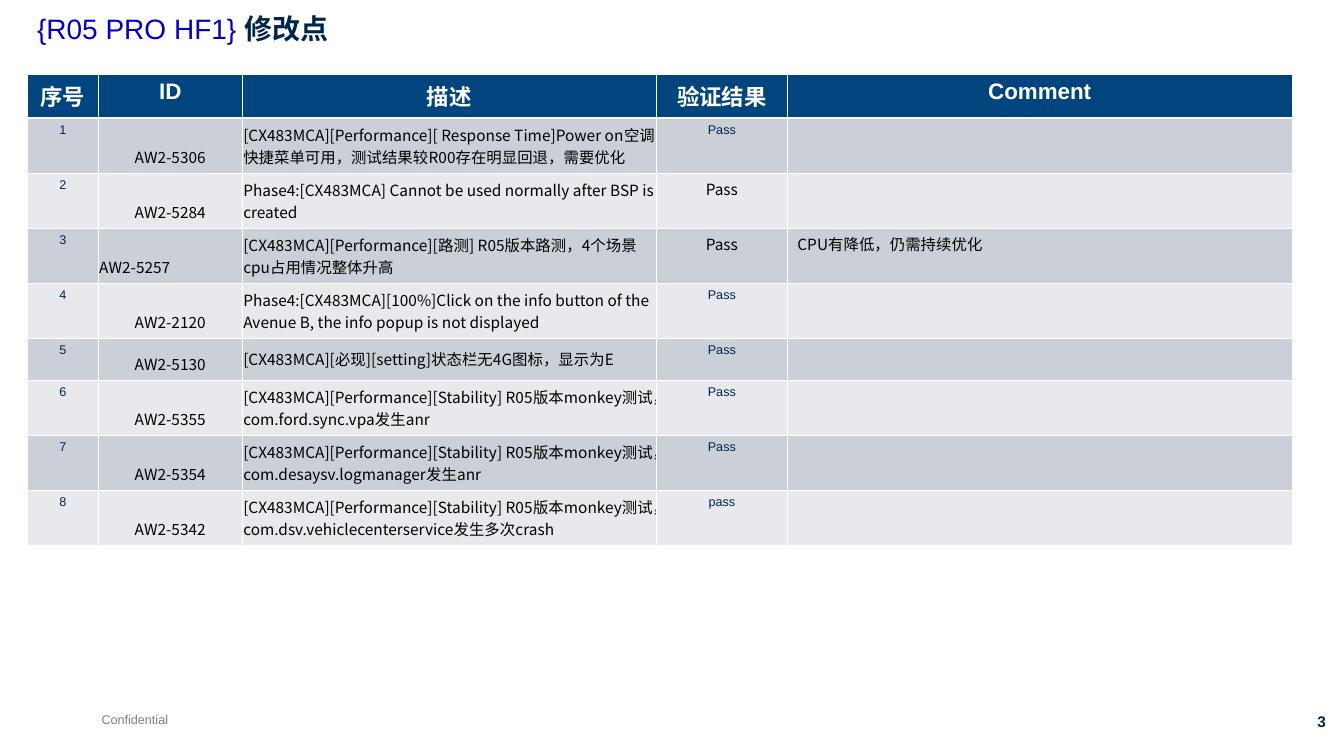
from lxml.etree import SubElement
from pptx import Presentation
from pptx.dml.color import RGBColor
from pptx.enum.text import MSO_ANCHOR, PP_ALIGN
from pptx.oxml.ns import qn
from pptx.util import Inches, Pt

SLIDE_WIDTH, SLIDE_HEIGHT = Inches(13.34), Inches(7.5)
LATIN, CHINESE = "Arial", "Noto Sans CJK SC"
NAVY, BLUE, GREY, BLACK, WHITE = "00264E", "0000CC", "7F7F7F", "000000", "FFFFFF"
HEADER_FILL, BAND_FILLS = "00457E", ("E7E9EC", "CBCFD8")

COLUMN_SHARES = [5.25, 10.72, 30.81, 9.75, 37.56]
HEADER_ROW, ONE_LINE_ROW, TWO_LINE_ROW = 5.75, 5.56, 7.28
ROW_SHARES = [HEADER_ROW, *[TWO_LINE_ROW] * 4, ONE_LINE_ROW, *[TWO_LINE_ROW] * 3]
HEADINGS = ["序号", "ID", "描述", "验证结果", "Comment"]
ISSUES = [
    ("AW2-5306", "[CX483MCA][Performance][ Response Time]Power on空调快捷菜单可用，测试结果较R00存在明显回退，需要优化", "Pass", ""),
    ("AW2-5284", "Phase4:[CX483MCA] Cannot be used normally after BSP is created", "Pass", ""),
    ("AW2-5257", "[CX483MCA][Performance][路测] R05版本路测，4个场景cpu占用情况整体升高", "Pass", "CPU有降低，仍需持续优化"),
    ("AW2-2120", "Phase4:[CX483MCA][100%]Click on the info button of the Avenue B, the info popup is not displayed", "Pass", ""),
    ("AW2-5130", "[CX483MCA][必现][setting]状态栏无4G图标，显示为E", "Pass", ""),
    ("AW2-5355", "[CX483MCA][Performance][Stability] R05版本monkey测试，com.ford.sync.vpa发生anr", "Pass", ""),
    ("AW2-5354", "[CX483MCA][Performance][Stability] R05版本monkey测试，com.desaysv.logmanager发生anr", "Pass", ""),
    ("AW2-5342", "[CX483MCA][Performance][Stability] R05版本monkey测试，com.dsv.vehiclecenterservice发生多次crash", "pass", ""),
]
LARGE_RESULT_ROWS = (2, 3)
LEFT_ID_ROW = 3
SMALL = {"size": 9, "color": NAVY}
BODY = {"size": 11, "color": BLACK, "font": CHINESE}


def color_of(value):
    return RGBColor.from_string(value)


def across(share):
    return round(SLIDE_WIDTH * share / 100)


def down(share):
    return round(SLIDE_HEIGHT * share / 100)


def write(paragraph, text, size, color, font=LATIN, bold=False, align=PP_ALIGN.LEFT):
    paragraph.alignment = align
    run = paragraph.add_run()
    run.text = text
    run.font.size = Pt(size)
    run.font.name = font
    run.font.bold = bold
    run.font.color.rgb = color_of(color)
    SubElement(run.font._element, qn("a:ea")).set("typeface", CHINESE)


def add_text_box(slide, left, top, width, height, wrap=True):
    shape = slide.shapes.add_textbox(across(left), down(top), across(width), down(height))
    shape.text_frame.word_wrap = wrap
    return shape.text_frame.paragraphs[0]


def set_borders(cell, top, bottom):
    properties = cell._tc.get_or_add_tcPr()
    for side, width in (("L", 0.45), ("R", 0.45), ("T", top), ("B", bottom)):
        line = SubElement(properties, qn(f"a:ln{side}"), w=str(Pt(width)))
        fill = SubElement(line, qn("a:solidFill"))
        SubElement(fill, qn("a:srgbClr"), val=WHITE)


def fill_cell(cell, text, fill, anchor=MSO_ANCHOR.TOP, tight=False, top=0.45, bottom=0.45, **style):
    set_borders(cell, top, bottom)
    cell.fill.solid()
    cell.fill.fore_color.rgb = color_of(fill)
    cell.vertical_anchor = anchor
    if tight:
        cell.margin_left = cell.margin_right = Inches(0.01)
    if text:
        write(cell.text_frame.paragraphs[0], text, **style)


def add_issue_table(slide):
    frame = slide.shapes.add_table(
        len(ROW_SHARES), len(COLUMN_SHARES), across(2.06), down(9.85),
        across(sum(COLUMN_SHARES)), down(sum(ROW_SHARES)))
    table = frame.table
    for column, share in zip(table.columns, COLUMN_SHARES):
        column.width = across(share)
    for row, share in zip(table.rows, ROW_SHARES):
        row.height = down(share)
    for index, heading in enumerate(HEADINGS):
        fill_cell(table.cell(0, index), heading, HEADER_FILL, bottom=1.47,
                  size=16, color=WHITE, bold=True, align=PP_ALIGN.CENTER)
    for number, (issue, description, result, comment) in enumerate(ISSUES, 1):
        issue_align = PP_ALIGN.LEFT if number == LEFT_ID_ROW else PP_ALIGN.CENTER
        result_style = BODY if number in LARGE_RESULT_ROWS else SMALL
        contents = [
            (str(number), {**SMALL, "align": PP_ALIGN.CENTER}),
            (issue, {**BODY, "align": issue_align, "anchor": MSO_ANCHOR.BOTTOM, "tight": True}),
            (description, {**BODY, "anchor": MSO_ANCHOR.MIDDLE, "tight": True}),
            (result, {**result_style, "align": PP_ALIGN.CENTER}),
            (comment, BODY),
        ]
        for index, (text, style) in enumerate(contents):
            fill_cell(table.cell(number, index), text, BAND_FILLS[number % 2],
                      top=1.47 if number == 1 else 0.45, **style)


def main():
    presentation = Presentation()
    presentation.slide_width, presentation.slide_height = SLIDE_WIDTH, SLIDE_HEIGHT
    slide = presentation.slides.add_slide(presentation.slide_layouts[6])
    footer = add_text_box(slide, 6.82, 93.47, 6.45, 3.33, wrap=False)
    write(footer, "Confidential", size=9, color=GREY)
    page_number = add_text_box(slide, 92.35, 93.55, 7.05, 3.87)
    write(page_number, "3", size=11, color=NAVY, bold=True, align=PP_ALIGN.RIGHT)
    title = add_text_box(slide, 2.02, 1.33, 88.83, 8.4)
    title.line_spacing = 0.9
    write(title, "{R05 PRO HF1} ", size=20, color=BLUE)
    write(title, "修改点", size=20, color=NAVY, bold=True)
    add_issue_table(slide)
    presentation.save("out.pptx")


if __name__ == "__main__":
    main()
